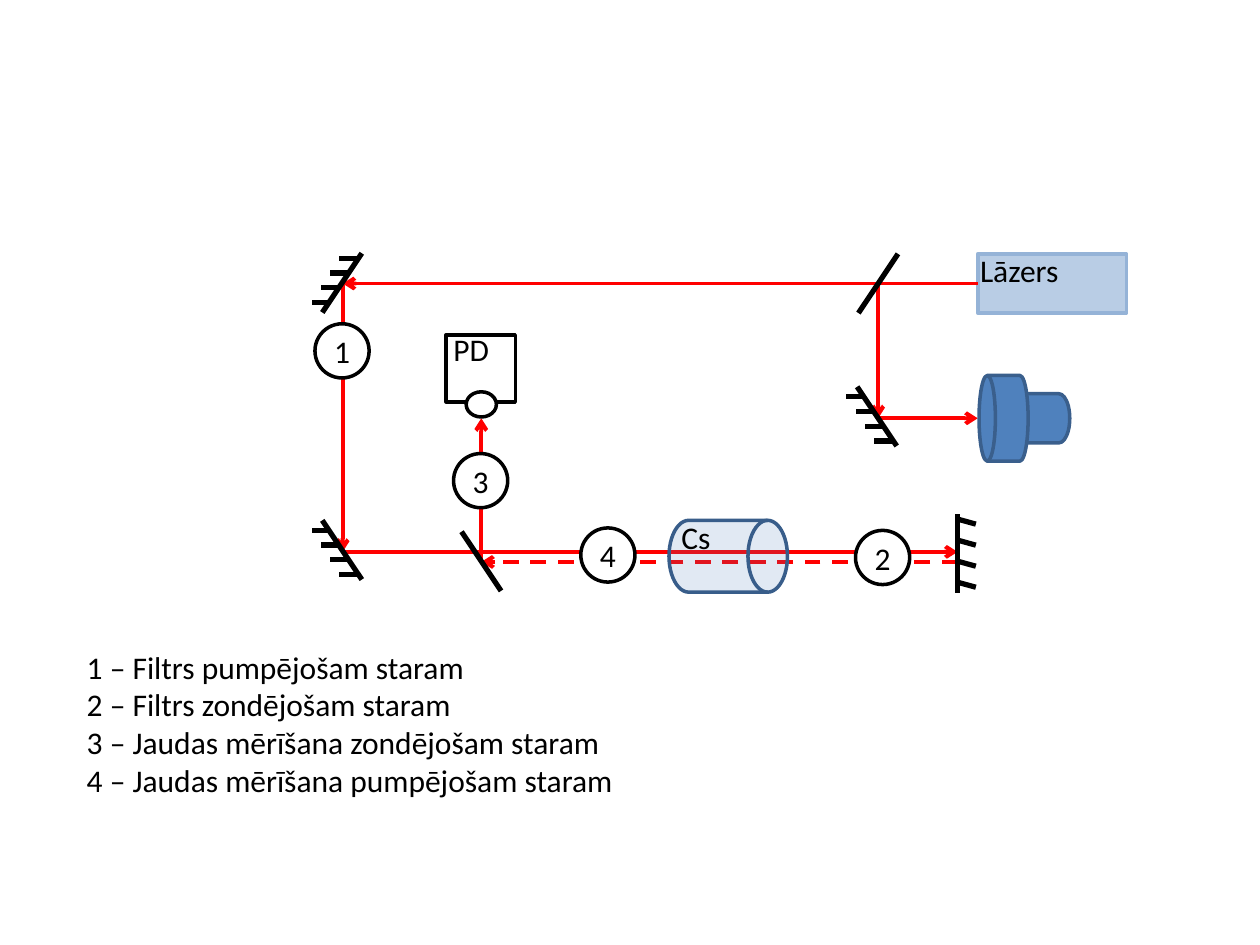
from lxml.etree import SubElement
from pptx import Presentation
from pptx.dml.color import RGBColor
from pptx.enum.dml import MSO_LINE
from pptx.enum.shapes import MSO_CONNECTOR, MSO_SHAPE
from pptx.enum.text import MSO_ANCHOR, MSO_AUTO_SIZE, PP_ALIGN
from pptx.oxml.ns import qn
from pptx.util import Inches, Pt

COLORS = {
    "beam": "FF0000", "ink": "000000", "paper": "FFFFFF",
    "laser": "B9CDE5", "laser_edge": "95B3D7",
    "cell": "4F81BD", "cell_edge": "385D8A", "camera_edge": "3A5F8C",
}
prs = Presentation()
prs.slide_width, prs.slide_height = Inches(10), Inches(7.5)
COL, ROW = prs.slide_width / 100, prs.slide_height / 75
slide = prs.slides.add_slide(prs.slide_layouts[6])


def add_line(x1, y1, x2, y2, color="ink", width=3, arrow=False, dash=None):
    """Straight line between two grid points."""
    line = slide.shapes.add_connector(
        MSO_CONNECTOR.STRAIGHT, round(x1 * COL), round(y1 * ROW), round(x2 * COL), round(y2 * ROW))
    line.line.color.rgb = RGBColor.from_string(COLORS[color])
    for name, value in {"width": Pt(width), "dash_style": dash}.items():
        setattr(line.line, name, value)
    if arrow:
        SubElement(line.line._get_or_add_ln(), qn("a:tailEnd"), type="arrow")
    SubElement(line._element.spPr, qn("a:effectLst"))
    return line


def add_part(kind, x, y, w, h, fill="paper", edge="ink"):
    """Filled and outlined preset shape placed on the grid."""
    part = slide.shapes.add_shape(kind, *map(round, (x * COL, y * ROW, w * COL, h * ROW)))
    part.shadow.inherit = False
    part.fill.solid()
    part.fill.fore_color.rgb = RGBColor.from_string(COLORS[fill])
    part.line.color.rgb = RGBColor.from_string(COLORS[edge])
    part.line.width = Pt(2)
    return part


# Axes shared by the optical elements
left_axis, pd_axis, right_axis, end_axis = 27.2, 38.2, 69.7, 76
top_axis, camera_axis, pump_axis, probe_axis = 22.5, 33.2, 43.8, 44.6
source_edge = 77.6

# Laser and beams
laser = add_part(MSO_SHAPE.RECTANGLE, source_edge, top_axis - 2.35, 11.8, 4.7, "laser", "laser_edge")
beams = [
    (source_edge, top_axis, left_axis, top_axis, None),
    (left_axis, top_axis, left_axis, pump_axis, None),
    (left_axis, pump_axis, end_axis, pump_axis, None),
    (end_axis, probe_axis, pd_axis, probe_axis, MSO_LINE.DASH),
    (pd_axis, probe_axis, pd_axis, camera_axis, None),
    (right_axis, top_axis, right_axis, camera_axis, None),
    (right_axis, camera_axis, source_edge, camera_axis, None),
]
for number, (x1, y1, x2, y2, dash) in enumerate(beams):
    beam = add_line(x1, y1, x2, y2, "beam", 2.25, True, dash)
    if number == 0:
        beam.begin_connect(laser, 1)

# Slanted mirrors (hatched) and beam splitters; tilt 1 rises to the right
for x, y, tilt, hatched in [
    (69.7, 22.5, 1, False), (38.2, 44.55, -1, False),
    (27.15, 22.45, 1, True), (27.15, 43.65, -1, True), (69.6, 33.05, -1, True),
]:
    add_line(x + 1.57, y - 2.35 * tilt, x - 1.57, y + 2.35 * tilt)
    for step in range(4 if hatched else 0):
        hatch_x, hatch_y = x + 1.25 - 0.73 * step, y + tilt * (1.17 * step - 1.95)
        add_line(hatch_x, hatch_y, hatch_x - 1.48, hatch_y)

# Upright end mirror
add_line(end_axis, 40.8, end_axis, 47.1)
for step in range(4):
    hatch_y = 41.2 + 1.67 * step
    add_line(end_axis + 1.45, hatch_y + 0.4, end_axis, hatch_y)

# Photodiode, caesium cell and camera
add_part(MSO_SHAPE.RECTANGLE, 35.4, 26.6, 5.5, 5.3)
add_part(MSO_SHAPE.OVAL, pd_axis - 1.2, 31.1, 2.4, 2)
drum = MSO_SHAPE.FLOWCHART_DIRECT_ACCESS_STORAGE
cell = add_part(drum, 53.1, 41.3, 9.4, 5.7, "cell", "cell_edge")
cell_color = cell._element.spPr.find(qn("a:solidFill"))[0]
SubElement(cell_color, qn("a:alpha"), val="17000")
for x, w, h in [(79.7, 5.2, 3.9), (77.7, 3.9, 6.8)]:
    add_part(drum, x, camera_axis - h / 2, w, h, "cell", "camera_edge").rotation = 180

# Numbered markers
marker_size = 4.3
texts = []
for number, x, y in [("2", 67.9, 42.1), ("4", 46.1, 41.9), ("3", 36, 36), ("1", 25, 25.7)]:
    marker = add_part(MSO_SHAPE.OVAL, x, y, marker_size, marker_size)
    frame = {"margin_left": 0, "margin_right": 0, "margin_top": 0, "margin_bottom": 0,
             "vertical_anchor": MSO_ANCHOR.MIDDLE, "word_wrap": False}
    texts.append((marker, [number], PP_ALIGN.CENTER, frame))

# Labels and legend
legend = [
    "1 – Filtrs pumpējošam staram",
    "2 – Filtrs zondējošam staram",
    "3 – Jaudas mērīšana zondējošam staram",
    "4 – Jaudas mērīšana pumpējošam staram",
]
for lines, x, y, w, h, wrap in [
    (["Lāzers"], 76.8, 19.4, 11, 4, True),
    (["Cs"], 53.1, 40.6, 5.5, 4, True),
    (["PD"], 35, 25.7, 4.9, 4, False),
    (legend, 5.9, 50.9, 90.6, 13.1, True),
]:
    label = slide.shapes.add_textbox(*map(round, (x * COL, y * ROW, w * COL, h * ROW)))
    frame = {"word_wrap": wrap, "auto_size": MSO_AUTO_SIZE.SHAPE_TO_FIT_TEXT}
    texts.append((label, lines, PP_ALIGN.LEFT, frame))

# Wording and its format
for holder, lines, alignment, frame in texts:
    for name, value in frame.items():
        setattr(holder.text_frame, name, value)
    holder.text_frame.text = "\n".join(lines)
    for paragraph in holder.text_frame.paragraphs:
        paragraph.alignment = alignment
        font = paragraph.runs[0].font
        for name, value in {"name": "Calibri", "size": Pt(18)}.items():
            setattr(font, name, value)
        font.color.rgb = RGBColor.from_string(COLORS["ink"])

prs.save("out.pptx")
